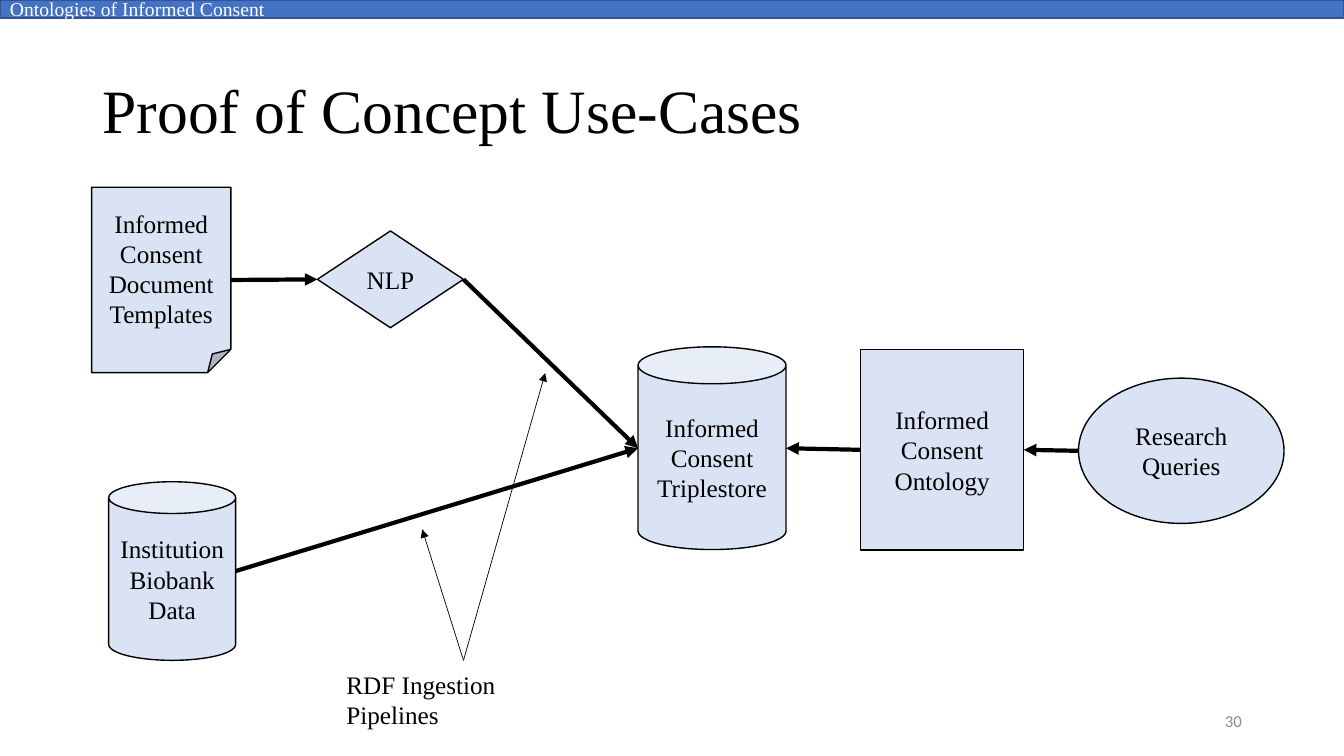
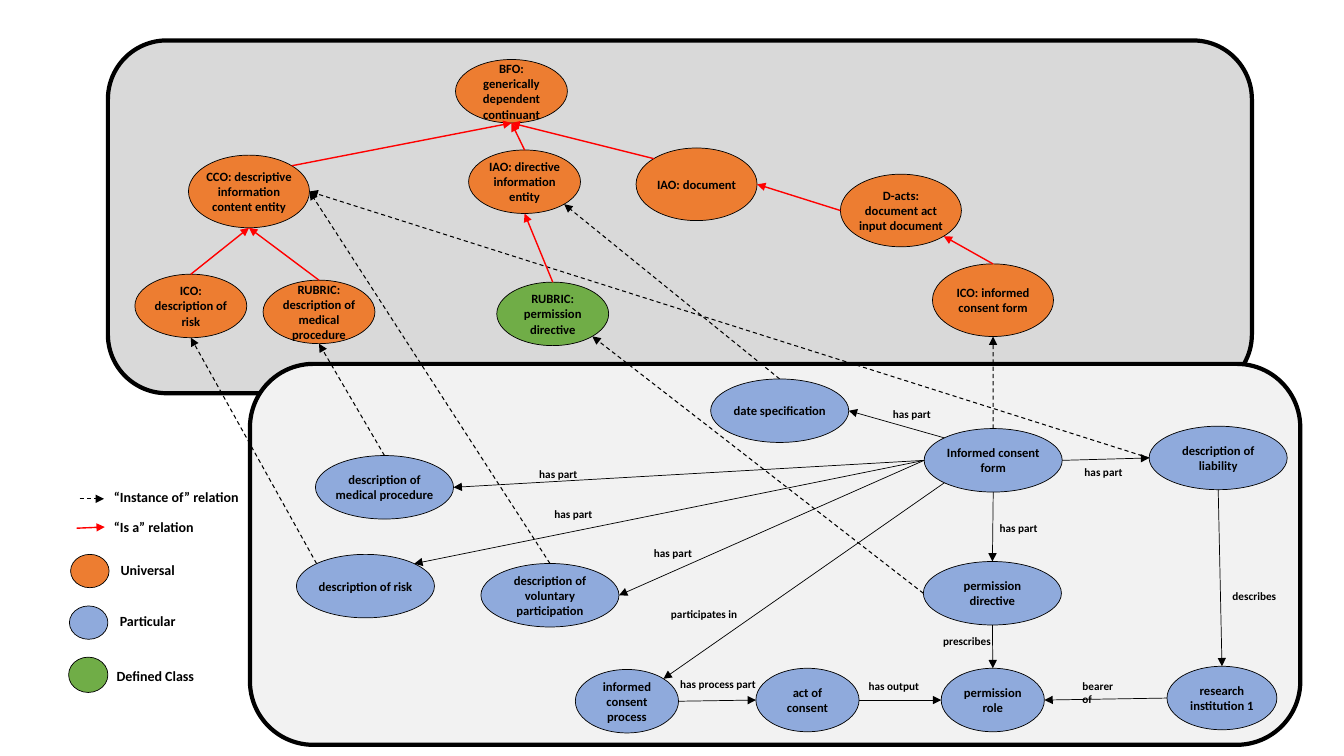
"""Build two slides on informed consent ontologies."""
from dataclasses import dataclass
from math import cos, pi, sin

from lxml import etree
from pptx import Presentation, util as u
from pptx.dml import color
from pptx.enum import dml, shapes, text as txt
from pptx.oxml import ns

Kind = shapes.MSO_SHAPE
Align = txt.PP_ALIGN
Anchor = txt.MSO_ANCHOR
Point = tuple[float, float]


@dataclass(frozen=True)
class Theme:
    black: str = "000000"
    white: str = "FFFFFF"
    red: str = "FF0000"
    pale: str = "DAE3F3"
    band: str = "4472C4"
    edge: str = "325491"
    grey: str = "8C8C8C"
    upper: str = "D9D9D9"
    lower: str = "F2F2F2"
    orange: str = "ED7D31"
    blue: str = "8FAADC"
    green: str = "70AD47"
    serif: str = "Times New Roman"
    sans: str = "Calibri"
    title: float = 44
    body: float = 18
    head: float = 14
    foot: float = 12
    key: float = 10
    node: float = 9
    label: float = 8


T = Theme()
WIDTH, HEIGHT = 33.87, 19.05
SIDES = ("e", "se", "s", "sw", "w", "nw", "n", "ne")


@dataclass(frozen=True)
class Node:
    text: str
    left: float
    top: float
    width: float
    height: float
    fill: str
    kind: Kind = Kind.OVAL

    @property
    def box(self) -> tuple[float, float, float, float]:
        return self.left, self.top, self.width, self.height

    def site(self, side: str) -> Point:
        turn = SIDES.index(side) * pi / 4
        return (self.left + self.width / 2 * (1 + cos(turn)),
                self.top + self.height / 2 * (1 + sin(turn)))


@dataclass(frozen=True)
class Stroke:
    hue: str
    weight: float
    dash: bool = False


@dataclass(frozen=True)
class Link:
    start: str
    out: str
    end: str
    into: str


@dataclass(frozen=True)
class Label:
    text: str
    left: float
    top: float
    width: float


THICK = Stroke(T.black, 3)
THIN = Stroke(T.black, 0.5)
IS_A = Stroke(T.red, 1)
INSTANCE = Stroke(T.black, 0.75, True)


def write(shape, text: str, *, size: float, font: str = T.sans, hue: str = T.black,
          bold: bool = False, align=Align.LEFT, anchor=Anchor.MIDDLE,
          wrap: bool = True, inset: float | None = None, space: float | None = None) -> None:
    frame = shape.text_frame
    frame.text = text
    frame.word_wrap = wrap
    frame.vertical_anchor = anchor
    frame.auto_size = txt.MSO_AUTO_SIZE.NONE if wrap else txt.MSO_AUTO_SIZE.SHAPE_TO_FIT_TEXT
    if inset is not None:
        for edge in ("left", "top", "right", "bottom"):
            setattr(frame, f"margin_{edge}", u.Cm(inset))
    for para in frame.paragraphs:
        para.alignment = align
        if space:
            para.line_spacing = space
        for run in para.runs:
            run.font.name, run.font.size, run.font.bold = font, u.Pt(size), bold
            run.font.color.rgb = color.RGBColor.from_string(hue)


def draw(slide, kind: Kind, box: tuple, fill: str, edge: str = T.black, weight: float = 1):
    shape = slide.shapes.add_shape(kind, *map(u.Cm, box))
    shape.shadow.inherit = False
    shape.fill.solid()
    shape.fill.fore_color.rgb = color.RGBColor.from_string(fill)
    shape.line.color.rgb = color.RGBColor.from_string(edge)
    shape.line.width = u.Pt(weight)
    return shape


def place(slide, text: str, box: tuple, **style) -> None:
    write(slide.shapes.add_textbox(*map(u.Cm, box)), text, **style)


def arrow(slide, start: Point, end: Point, stroke: Stroke) -> None:
    line = slide.shapes.add_connector(shapes.MSO_CONNECTOR.STRAIGHT, *map(u.Cm, start + end))
    line.line.color.rgb = color.RGBColor.from_string(stroke.hue)
    line.line.width = u.Pt(stroke.weight)
    if stroke.dash:
        line.line.dash_style = dml.MSO_LINE.DASH
    props = line.element.spPr
    etree.SubElement(props.find(ns.qn("a:ln")), ns.qn("a:tailEnd"), type="triangle")
    etree.SubElement(props, ns.qn("a:effectLst"))


def join(slide, nodes: dict[str, Node], links: tuple[Link, ...], stroke: Stroke) -> None:
    for link in links:
        arrow(slide, nodes[link.start].site(link.out), nodes[link.end].site(link.into), stroke)


STEPS = {
    "forms": Node("Informed Consent Document Templates", 2.31, 4.72, 3.51, 4.67,
                  T.pale, Kind.FOLDED_CORNER),
    "bank": Node("Institution\nBiobank Data", 2.74, 12.14, 3.2, 4.5, T.pale, Kind.CAN),
    "store": Node("Informed Consent Triplestore", 16.08, 8.74, 3.73, 5.11, T.pale, Kind.CAN),
    "nlp": Node("NLP", 8, 5.82, 3.68, 2.44, T.pale, Kind.DIAMOND),
    "onto": Node("Informed Consent Ontology", 21.69, 8.81, 4.11, 5.05, T.pale, Kind.RECTANGLE),
    "query": Node("Research Queries", 27.18, 9.53, 5.18, 3.66, T.pale),
}
FLOW = (
    Link("forms", "e", "nlp", "w"),
    Link("bank", "e", "store", "w"),
    Link("nlp", "e", "store", "w"),
    Link("onto", "w", "store", "e"),
    Link("query", "w", "onto", "e"),
)

SMALL, LARGE, WIDE, ROUND = (2.82, 1.6), (3.05, 1.83), (3.48, 1.6), (2.6, 1.6)
TERMS = {
    "bfo": Node("BFO: generically dependent continuant", 11.48, 1.5, *SMALL, T.orange),
    "cco": Node("CCO: descriptive information content entity", 4.75, 3.91, *LARGE, T.orange),
    "iao": Node("IAO: directive information entity", 11.81, 3.78, *SMALL, T.orange),
    "doc": Node("IAO: document", 16.03, 3.73, *LARGE, T.orange),
    "act": Node("D-acts: document act input document", 21.18, 4.39, *LARGE, T.orange),
    "ico form": Node("ICO: informed consent form", 23.5, 6.65, *LARGE, T.orange),
    "ico risk": Node("ICO: description of risk", 3.4, 6.91, *SMALL, T.orange),
    "rubric med": Node("RUBRIC: description of medical procedure",
                       6.63, 7.06, *SMALL, T.orange),
    "rubric perm": Node("RUBRIC: permission directive", 12.52, 7.11, *SMALL, T.green),
    "date": Node("date specification", 17.91, 9.55, *WIDE, T.blue),
    "form": Node("Informed consent form", 23.29, 10.8, *WIDE, T.blue),
    "duty": Node("description of liability", 28.96, 10.74, *WIDE, T.blue),
    "med": Node("description of medical procedure", 7.95, 11.48, *WIDE, T.blue),
    "risk": Node("description of risk", 7.47, 13.97, *WIDE, T.blue),
    "free": Node("description of voluntary participation", 12.12, 14.2, *WIDE, T.blue),
    "perm": Node("permission directive", 23.27, 14.15, *WIDE, T.blue),
    "process": Node("informed consent process", 14.5, 16.87, *ROUND, T.blue),
    "consent": Node("act of consent", 19.05, 16.84, *ROUND, T.blue),
    "role": Node("permission role", 23.72, 16.84, *ROUND, T.blue),
    "house": Node("research institution 1", 29.41, 16.79, 2.77, 1.6, T.blue),
}
INSTANCES = (
    Link("perm", "w", "rubric perm", "se"),
    Link("duty", "w", "cco", "e"),
    Link("date", "n", "iao", "se"),
    Link("med", "n", "rubric med", "s"),
    Link("free", "n", "cco", "e"),
    Link("risk", "nw", "ico risk", "s"),
    Link("form", "n", "ico form", "s"),
)
PARENTS = (
    Link("iao", "n", "bfo", "s"),
    Link("cco", "ne", "bfo", "s"),
    Link("doc", "nw", "bfo", "s"),
    Link("act", "w", "doc", "e"),
    Link("ico form", "n", "act", "se"),
    Link("rubric perm", "n", "iao", "s"),
    Link("rubric med", "n", "cco", "s"),
    Link("ico risk", "n", "cco", "s"),
)
PARTS = (
    Link("process", "e", "consent", "w"),
    Link("consent", "e", "role", "w"),
    Link("house", "w", "role", "e"),
    Link("perm", "s", "role", "n"),
    Link("form", "s", "perm", "n"),
    Link("form", "sw", "process", "ne"),
    Link("form", "w", "free", "e"),
    Link("form", "nw", "date", "e"),
    Link("form", "w", "med", "e"),
    Link("form", "w", "risk", "ne"),
    Link("form", "e", "duty", "w"),
    Link("duty", "s", "house", "n"),
)
HAS_PART = ((22.25, 10.13), (27.08, 11.61), (13.34, 11.66),
            (13.72, 12.67), (24.94, 13), (16.23, 13.64))
LABELS = (
    *(Label("has part", left, top, 1.47) for left, top in HAS_PART),
    Label("describes", 30.81, 14.73, 1.63),
    Label("participates in", 16.66, 15.19, 2.21),
    Label("prescribes", 23.52, 15.85, 1.73),
    Label("has process part", 16.89, 16.94, 2.44),
    Label("has output", 21.64, 16.99, 1.78),
    Label("bearer of", 27.03, 16.99, 1.57),
)
KEYS = (
    Label("“Instance of” relation", 2.62, 12.19, 3.68),
    Label("“Is a” relation", 2.62, 12.95, 2.57),
    Label("Universal", 2.79, 14.02, 1.91),
    Label("Particular", 2.77, 15.32, 1.93),
    Label("Defined Class", 2.69, 16.69, 2.49),
)
DOTS = (
    ((1.78, 13.97, 0.97, 0.84), T.orange),
    ((1.75, 15.27, 0.97, 0.84), T.blue),
    ((1.73, 16.56, 0.99, 0.89), T.green),
)


def use_cases(deck) -> None:
    slide = deck.slides.add_slide(deck.slide_layouts[5])
    title = slide.shapes.title
    title.left, title.top, title.width, title.height = map(u.Cm, (2.33, 1.02, 29.21, 3.68))
    write(title, "Proof of Concept Use-Cases", size=T.title, font=T.serif, space=0.9)
    for node in STEPS.values():
        write(draw(slide, node.kind, node.box, node.fill), node.text,
              size=T.body, font=T.serif, align=Align.CENTER)
    join(slide, STEPS, FLOW, THICK)
    place(slide, "30", (23.93, 17.65, 7.62, 1.02), size=T.foot, hue=T.grey, align=Align.RIGHT)
    band = draw(slide, Kind.RECTANGLE, (0, 0, WIDTH, 0.46), T.band, T.edge)
    write(band, "Ontologies of Informed Consent", size=T.head, font=T.serif, hue=T.white)
    for tip in ((13.74, 9.4), (10.64, 13.34)):
        arrow(slide, (11.68, 16.64), tip, THIN)
    place(slide, "RDF Ingestion Pipelines", (8.48, 16.74, 6, 1.8),
          size=T.body, font=T.serif, anchor=Anchor.TOP)


def term_map(deck) -> None:
    slide = deck.slides.add_slide(deck.slide_layouts[6])
    for box, fill in (((2.72, 1.02, 28.83, 8.89), T.upper), ((6.3, 9.17, 26.47, 9.6), T.lower)):
        draw(slide, Kind.ROUNDED_RECTANGLE, box, fill, weight=3)
    join(slide, TERMS, INSTANCES, INSTANCE)
    for node in TERMS.values():
        write(draw(slide, node.kind, node.box, node.fill, weight=0.5), node.text,
              size=T.node, bold=True, align=Align.CENTER, inset=0)
    join(slide, TERMS, PARENTS, IS_A)
    join(slide, TERMS, PARTS, THIN)
    arrow(slide, (2.01, 12.57), (2.62, 12.57), INSTANCE)
    arrow(slide, (1.93, 13.31), (2.64, 13.28), IS_A)
    for box, fill in DOTS:
        draw(slide, Kind.OVAL, box, fill, weight=0.5)
    for group, size, height in ((LABELS, T.label, 0.61), (KEYS, T.key, 0.69)):
        for label in group:
            place(slide, label.text, (label.left, label.top, label.width, height),
                  size=size, bold=True, anchor=Anchor.TOP, wrap=False)


def main() -> None:
    deck = Presentation()
    deck.slide_width, deck.slide_height = u.Cm(WIDTH), u.Cm(HEIGHT)
    use_cases(deck)
    term_map(deck)
    deck.save("out.pptx")


if __name__ == "__main__":
    main()
